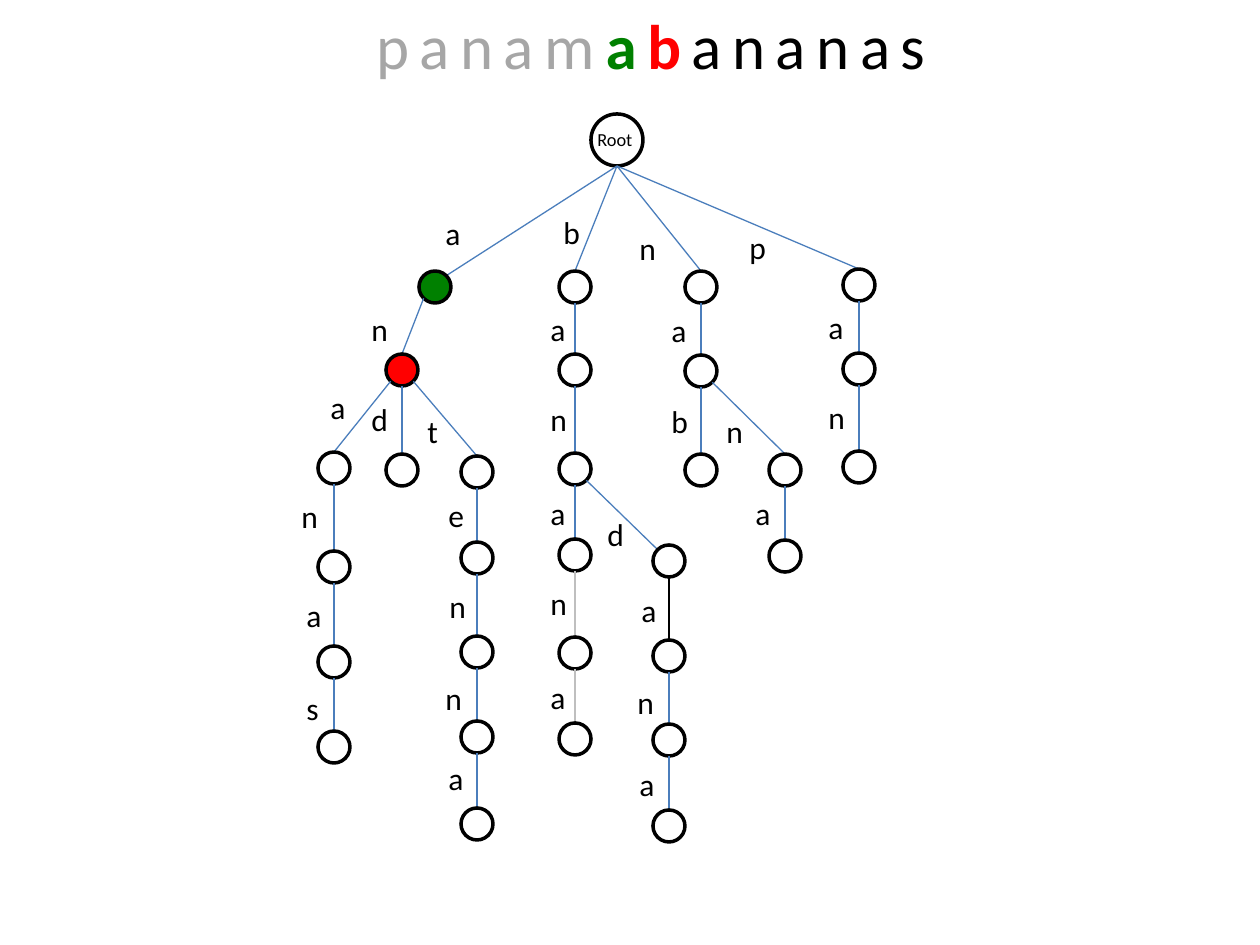
from dataclasses import dataclass
from math import sqrt
from typing import NamedTuple

from lxml.etree import SubElement
from pptx import Presentation
from pptx.dml.color import RGBColor
from pptx.enum.shapes import MSO_CONNECTOR as Connector, MSO_SHAPE as Shape
from pptx.enum.text import MSO_AUTO_SIZE as AutoSize, PP_ALIGN as Align
from pptx.oxml.ns import qn
from pptx.util import Pt

PX = 914400 // 126


@dataclass(frozen=True)
class Theme:
    font: str = "Calibri"
    ink: str = "000000"
    paper: str = "FFFFFF"
    edge: str = "4B7EBC"
    faded_edge: str = "BFBFBF"
    read: str = "A6A6A6"
    matched: str = "008000"
    current: str = "FF0000"
    title_size: float = 36
    title_spacing: float = 6
    letter_size: float = 18
    root_size: float = 10.5
    outline: float = 2
    edge_width: float = 0.75


class Node(NamedTuple):
    x: int
    y: int
    label_x: int
    label_y: int
    radius: int = 16


THEME = Theme()
SLIDE_SIZE = (1260, 945)
TITLE_BOX = (336, 0, 630, 90)
TREE_BOX = (289, 113, 586, 729)

# Node centres and label corners, relative to the tree box.
# A key is the prefix spelled from the root; its parent is the key less one letter.
ROOT = Node(328, 27, 296, 9, 26)
NODES = {
    "a": Node(146, 174, 144, 95),
    "an": Node(113, 257, 70, 191),
    "ana": Node(45, 355, 29, 269),
    "anan": Node(45, 454, 0, 378),
    "anana": Node(45, 549, 5, 477),
    "ananas": Node(45, 634, 5, 570),
    "and": Node(113, 357, 70, 281),
    "ant": Node(188, 359, 126, 293),
    "ante": Node(188, 445, 147, 377),
    "anten": Node(188, 539, 148, 468),
    "antenn": Node(188, 624, 144, 560),
    "antenna": Node(188, 711, 147, 640),
    "b": Node(286, 174, 262, 94),
    "ba": Node(286, 257, 249, 191),
    "ban": Node(286, 356, 249, 281),
    "bana": Node(286, 442, 249, 375),
    "banan": Node(286, 540, 249, 465),
    "banana": Node(286, 626, 249, 559),
    "band": Node(380, 448, 306, 396),
    "banda": Node(380, 543, 340, 472),
    "bandan": Node(380, 627, 336, 564),
    "bandana": Node(380, 713, 338, 646),
    "n": Node(412, 174, 338, 110),
    "na": Node(412, 258, 370, 192),
    "nab": Node(412, 357, 370, 283),
    "nan": Node(496, 357, 425, 293),
    "nana": Node(496, 443, 454, 375),
    "p": Node(570, 172, 448, 109),
    "pa": Node(570, 256, 527, 189),
    "pan": Node(570, 354, 527, 279),
}
NODE_FILLS = {"a": THEME.matched, "an": THEME.current}
EDGE_COLORS = {"banan": THEME.faded_edge, "banana": THEME.faded_edge, "banda": THEME.ink}
CORNER_ENTRIES = {"a", "band"}
LABEL_WIDTHS = {"a": 40, "e": 42, "s": 38, "t": 37}
LABEL_WIDTH, LABEL_HEIGHT = 43, 50


def px(*lengths):
    return [round(length * PX) for length in lengths]


def rgb(color):
    return RGBColor.from_string(color)


def add_text(shapes, box, runs, size, wrap=True, align=None, spacing=0):
    """Add one paragraph from (text, colour, bold) runs."""
    frame = shapes.add_textbox(*px(*box)).text_frame
    frame.word_wrap = wrap
    frame.auto_size = AutoSize.SHAPE_TO_FIT_TEXT
    paragraph = frame.paragraphs[0]
    paragraph.alignment = align
    for text, color, bold in runs:
        run = paragraph.add_run()
        run.text = text
        run.font.name = THEME.font
        run.font.size = Pt(size)
        run.font.bold = bold
        run.font.color.rgb = rgb(color)
        if spacing:
            run._r.get_or_add_rPr().set("spc", str(spacing * 100))


def add_circle(shapes, x, y, radius, fill):
    circle = shapes.add_shape(
        Shape.OVAL, *px(x - radius, y - radius, 2 * radius, 2 * radius))
    circle.shadow.inherit = False
    circle.fill.solid()
    circle.fill.fore_color.rgb = rgb(fill)
    circle.line.color.rgb = rgb(THEME.ink)
    circle.line.width = Pt(THEME.outline)


def rim_point(node, toward_x, vertical, corner):
    """Point at the top (-1) or bottom (1) of a circle, or at its corner facing toward_x."""
    if not corner or toward_x == node.x:
        return node.x, node.y + vertical * node.radius
    reach = node.radius / sqrt(2)
    side = 1 if toward_x > node.x else -1
    return node.x + side * reach, node.y + vertical * reach


def add_edge(shapes, origin, prefix):
    left, top = origin
    node = NODES[prefix]
    parent = NODES.get(prefix[:-1], ROOT)
    x1, y1 = rim_point(parent, node.x, 1, parent is not ROOT)
    x2, y2 = rim_point(node, parent.x, -1, prefix in CORNER_ENTRIES)
    edge = shapes.add_connector(
        Connector.STRAIGHT, *px(left + x1, top + y1, left + x2, top + y2))
    edge.line.color.rgb = rgb(EDGE_COLORS.get(prefix, THEME.edge))
    edge.line.width = Pt(THEME.edge_width)
    SubElement(edge._element.spPr, qn("a:effectLst"))


def add_title(slide, box):
    runs = [
        ("panam", THEME.read, False),
        ("a", THEME.matched, True),
        ("b", THEME.current, True),
        ("ananas", THEME.ink, False),
    ]
    add_text(slide.shapes, box, runs, THEME.title_size,
             align=Align.CENTER, spacing=THEME.title_spacing)


def add_tree(slide, box):
    left, top = box[:2]
    shapes = slide.shapes.add_group_shape().shapes
    add_circle(shapes, left + ROOT.x, top + ROOT.y, ROOT.radius, THEME.paper)
    add_text(shapes, (left + ROOT.label_x, top + ROOT.label_y, 69, 35),
             [("Root", THEME.ink, False)], THEME.root_size)
    for prefix, node in NODES.items():
        letter = prefix[-1]
        add_edge(shapes, (left, top), prefix)
        add_circle(shapes, left + node.x, top + node.y, node.radius,
                   NODE_FILLS.get(prefix, THEME.paper))
        label_box = (left + node.label_x, top + node.label_y,
                     LABEL_WIDTHS.get(letter, LABEL_WIDTH), LABEL_HEIGHT)
        add_text(shapes, label_box, [(letter, THEME.ink, False)],
                 THEME.letter_size, wrap=False)


def main():
    presentation = Presentation()
    presentation.slide_width, presentation.slide_height = px(*SLIDE_SIZE)
    slide = presentation.slides.add_slide(presentation.slide_layouts[6])
    add_tree(slide, TREE_BOX)
    add_title(slide, TITLE_BOX)
    presentation.save("out.pptx")


if __name__ == "__main__":
    main()
